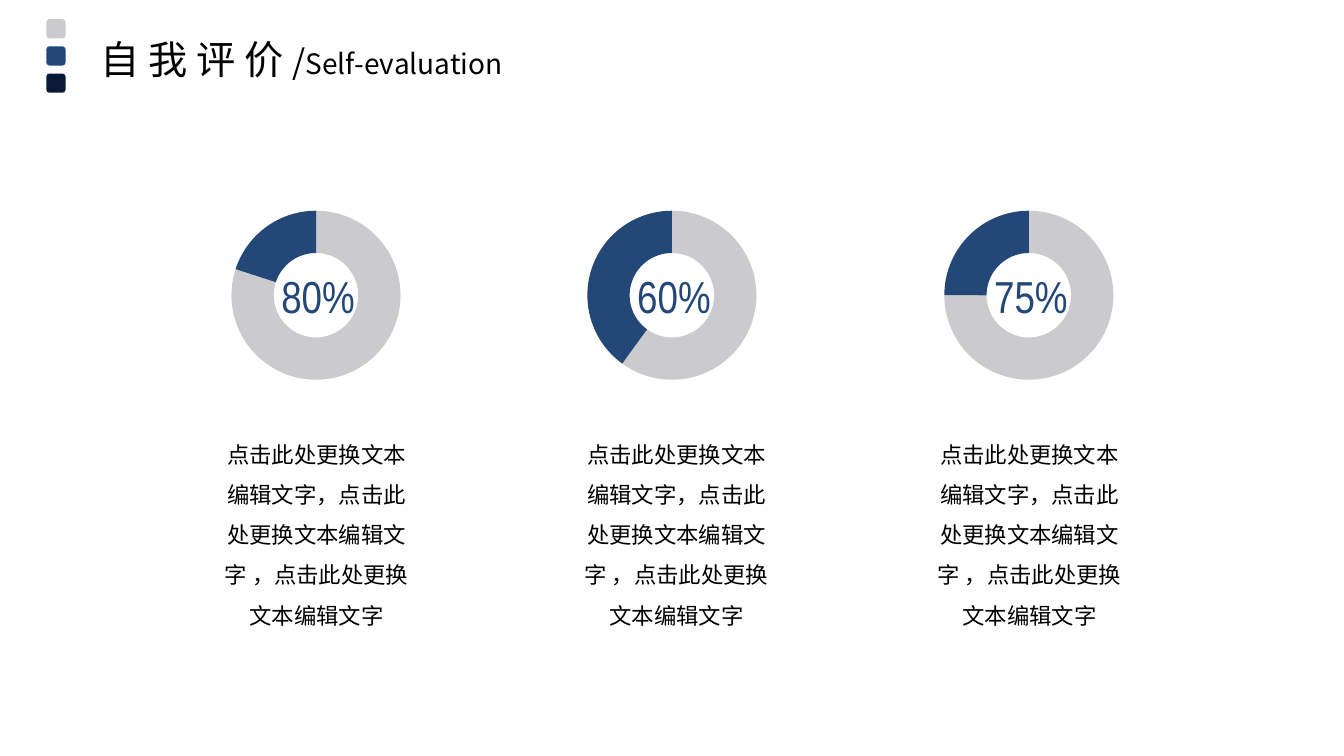
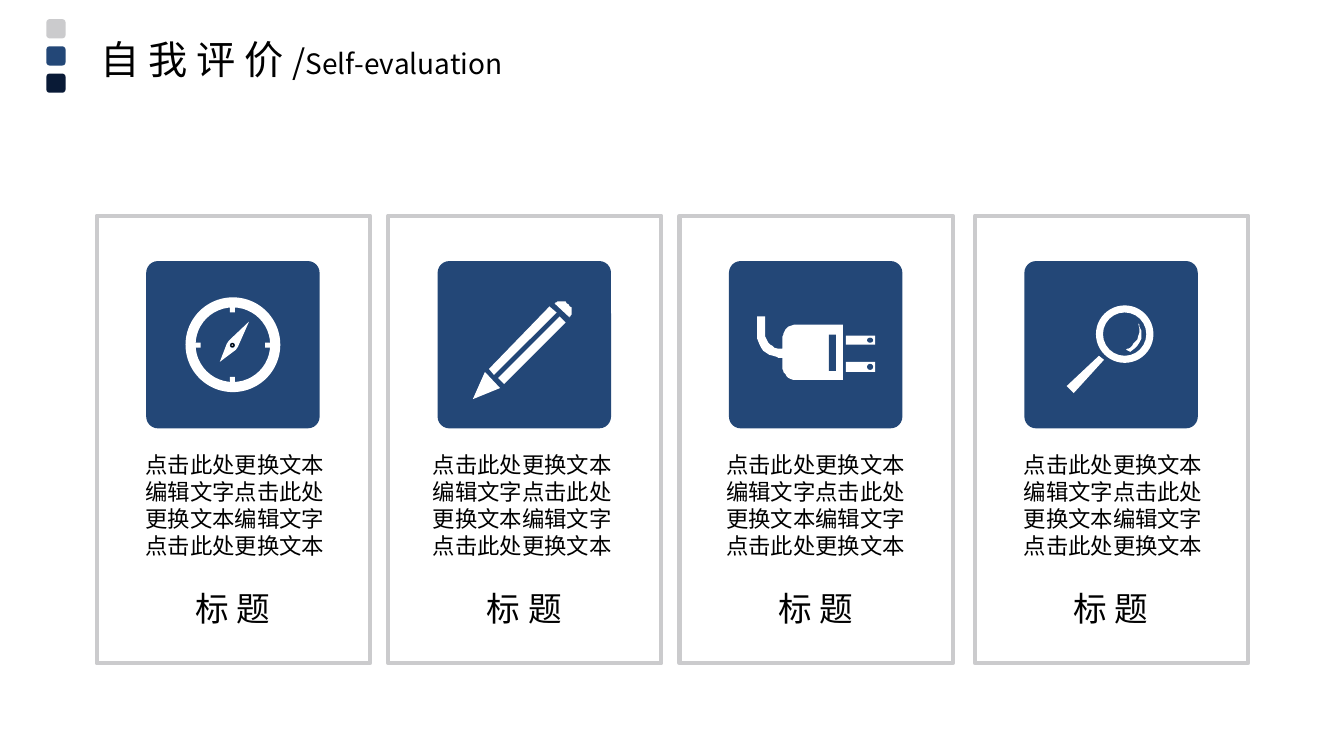
from dataclasses import dataclass

from pptx import Presentation
from pptx.chart.data import CategoryChartData
from pptx.dml.color import RGBColor
from pptx.enum.chart import XL_CHART_TYPE
from pptx.enum.shapes import MSO_SHAPE
from pptx.enum.text import MSO_ANCHOR, MSO_AUTO_SIZE, PP_ALIGN
from pptx.oxml import parse_xml
from pptx.oxml.ns import nsdecls, qn
from pptx.util import Inches, Pt


@dataclass(frozen=True)
class Theme:
    navy: str = "091A36"
    blue: str = "234777"
    grey: str = "CBCBCD"
    pivot: str = "ADB9CA"
    white: str = "FFFFFF"
    black: str = "000000"
    font: str = "Noto Sans CJK SC"
    number_font: str = "Arial Narrow"
    title_size: int = 28
    slash_size: int = 24
    subtitle_size: int = 20
    number_size: int = 32
    label_size: int = 24
    chart_size: int = 18
    body_size: int = 16


THEME = Theme()

TITLE_RUNS = [
    ("自 我 评 价 ", THEME.title_size),
    ("/", THEME.slash_size),
    ("Self-evaluation", THEME.subtitle_size),
]

SCORE_TEXT = "点击此处更换文本编辑文字，点击此处更换文本编辑文字 ，点击此处更换文本编辑文字"
# percentage, chart left, description left
SCORES = [(80, 1.97, 2.13), (60, 5.5, 5.7), (75, 9.04, 9.2)]

CARD_TEXT = "点击此处更换文本编辑文字点击此处更换文本编辑文字 点击此处更换文本"
CARD_LABEL = "标 题"

# Icon parts are in hundredths of an inch from the corner of the tile.
# Preset: (shape, (left, top, width, height), fill).
# Outline: (None, steps, fill), where two numbers are a corner and six a cubic curve.
RECT, OVAL, RING = MSO_SHAPE.RECTANGLE, MSO_SHAPE.OVAL, MSO_SHAPE.DONUT
WHITE, BLUE = THEME.white, THEME.blue
COMPASS = [
    (RING, (39, 36, 94, 94), WHITE),
    (RECT, (83, 44, 5, 7), WHITE),
    (RECT, (83, 115, 5, 7), WHITE),
    (RECT, (47, 81, 7, 5), WHITE),
    (RECT, (118, 81, 7, 5), WHITE),
    (None, [(80, 82), (73, 100), (89, 88), (91, 85), (102, 60), (82, 79)], WHITE),
    (OVAL, (83, 81, 5, 5), BLUE),
    (OVAL, (84, 82, 3, 3), THEME.pivot),
]
PENCIL = [
    (None, [(47, 110), (35, 137), (62, 126)], WHITE),
    (None, [(111, 45), (51, 107), (56, 113), (118, 51)], WHITE),
    (None, [(121, 55), (60, 116), (66, 122), (127, 61)], WHITE),
    (None, [(130, 43), (123, 36, 116, 42, 116, 42), (131, 56),
            (131, 56, 137, 49, 130, 43)], WHITE),
]
PLUG = [
    (None, [(53, 77), (53, 87), (35, 87, 36, 71, 36, 71), (36, 55), (28, 55),
            (28, 71), (28, 97, 53, 96, 53, 96), (53, 103),
            (53, 103, 52, 118, 68, 118), (113, 118), (113, 63), (68, 63),
            (53, 63, 53, 77, 53, 77)], WHITE),
    (RECT, (99, 73, 7, 36), BLUE),
    (RECT, (116, 74, 29, 9), WHITE),
    (OVAL, (137, 76, 6, 5), BLUE),
    (RECT, (116, 100, 29, 10), WHITE),
    (OVAL, (137, 102, 6, 6), BLUE),
]
MAGNIFIER = [
    (RING, (71, 44, 57, 57), WHITE),
    (None, [(42, 124), (49, 131), (79, 98), (74, 94)], WHITE),
    (None, [(113, 62), (117, 82, 101, 88, 101, 88), (105, 90),
            (124, 78, 113, 62, 113, 62)], WHITE),
]
# icon, card left, text left
CARDS = [(COMPASS, 0.96, 1.27), (PENCIL, 3.85, 4.12),
         (PLUG, 6.74, 7.03), (MAGNIFIER, 9.67, 9.98)]
CARD_TOP, CARD_WIDTH, CARD_HEIGHT = 2.14, 2.71, 4.44
TILE_TOP, TILE_WIDTH, TILE_HEIGHT = 2.59, 1.72, 1.66
RING_THICKNESS = 10
LENS_THICKNESS = 7


def rgb(value):
    return RGBColor.from_string(value)


def place(part, left, top, width, height):
    part.left, part.top = Inches(left), Inches(top)
    part.width, part.height = Inches(width), Inches(height)


def add_run(paragraph, text, size, color=THEME.black, font=THEME.font):
    run = paragraph.add_run()
    run.text = text
    run.font.size = Pt(size)
    run.font.name = font
    run.font.color.rgb = rgb(color)
    east_asian = run.font._element.makeelement(qn("a:ea"), {"typeface": font})
    run.font._element.find(qn("a:latin")).addnext(east_asian)


def add_text(slide, box, text, size, color=THEME.black, font=THEME.font,
             spacing=None, anchor=MSO_ANCHOR.TOP):
    frame = slide.shapes.add_textbox(*map(Inches, box)).text_frame
    frame.word_wrap = True
    frame.vertical_anchor = anchor
    paragraph = frame.paragraphs[0]
    paragraph.alignment = PP_ALIGN.CENTER
    if spacing:
        paragraph.line_spacing = spacing
    add_run(paragraph, text, size, color, font)


def paint(shape, fill=None, line=None, width=0.75):
    shape.shadow.inherit = False
    if fill:
        shape.fill.solid()
        shape.fill.fore_color.rgb = rgb(fill)
    else:
        shape.fill.background()
    if line:
        shape.line.color.rgb = rgb(line)
        shape.line.width = Pt(width)
    else:
        shape.line.fill.background()
    return shape


def add_preset(shapes, kind, box, **style):
    return paint(shapes.add_shape(kind, *map(Inches, box)), **style)


def add_titled_slide(prs):
    slide = prs.slides.add_slide(prs.slide_layouts[5])
    title = slide.shapes.title
    place(title, 0.9, 0.3, 5.01, 0.57)
    frame = title.text_frame
    frame.word_wrap = True
    frame.auto_size = MSO_AUTO_SIZE.NONE
    frame.vertical_anchor = MSO_ANCHOR.TOP
    frame.paragraphs[0].alignment = PP_ALIGN.LEFT
    for text, size in TITLE_RUNS:
        add_run(frame.paragraphs[0], text, size)
    marks = slide.shapes.add_group_shape().shapes
    for row, color in enumerate((THEME.grey, THEME.blue, THEME.navy)):
        add_preset(marks, MSO_SHAPE.ROUNDED_RECTANGLE,
                   (0.46, 0.19 + 0.27 * row, 0.19, 0.19), fill=color)
    return slide


def add_score_ring(slide, percent, left):
    data = CategoryChartData()
    data.categories = ["1", "2"]
    data.add_series("Series 1", (percent, 100 - percent))
    box = map(Inches, (left, 1.95, 2.33, 1.96))
    chart = slide.shapes.add_chart(XL_CHART_TYPE.DOUGHNUT, *box, data).chart
    chart.has_legend = False
    chart.has_title = False
    chart.font.name = THEME.font
    chart.font.size = Pt(THEME.chart_size)
    chart.font.color.rgb = rgb(THEME.black)
    plot = chart.plots[0]
    plot.vary_by_categories = True
    for index, color in enumerate((THEME.grey, THEME.blue)):
        point_format = plot.series[0].points[index].format
        point_format.fill.solid()
        point_format.fill.fore_color.rgb = rgb(color)
        point_format.line.fill.background()
    plot_area = chart.element.find(".//" + qn("c:plotArea"))
    plot_area.find(".//" + qn("c:holeSize")).set("val", "83")
    for layout in plot_area.findall(qn("c:layout")):
        plot_area.remove(layout)
    plot_area.insert(0, parse_xml(
        f'<c:layout {nsdecls("c")}><c:manualLayout><c:layoutTarget val="inner"/>'
        '<c:xMode val="edge"/><c:yMode val="edge"/><c:x val="0.14"/><c:y val="0.07"/>'
        '<c:w val="0.72"/><c:h val="0.86"/></c:manualLayout></c:layout>'))


def flatten(steps, pieces=12):
    """Turn corners and cubic curves into a list of points."""
    points = []
    for step in steps:
        if len(step) == 2:
            points.append(step)
            continue
        controls = [points[-1], step[:2], step[2:4], step[4:]]
        for piece in range(1, pieces + 1):
            t = piece / pieces
            weights = ((1 - t) ** 3, 3 * t * (1 - t) ** 2, 3 * t * t * (1 - t), t ** 3)
            points.append(tuple(sum(w * c[axis] for w, c in zip(weights, controls))
                                for axis in (0, 1)))
    return points


def add_icon(slide, icon, left, top):
    shapes = slide.shapes.add_group_shape().shapes
    for kind, geometry, fill in icon:
        if kind is None:
            start, *rest = flatten(geometry)
            builder = shapes.build_freeform(*start, scale=Inches(0.01))
            builder.add_line_segments(rest, close=True)
            paint(builder.convert_to_shape(Inches(left), Inches(top)), fill=fill)
            continue
        x, y, width, height = (value / 100 for value in geometry)
        outline = THEME.black if fill == THEME.pivot else None
        part = add_preset(shapes, kind, (left + x, top + y, width, height),
                          fill=fill, line=outline)
        if kind == RING:
            thickness = LENS_THICKNESS if icon is MAGNIFIER else RING_THICKNESS
            part.adjustments[0] = thickness / geometry[2]


def build_scores(prs):
    slide = add_titled_slide(prs)
    for percent, chart_left, text_left in SCORES:
        add_score_ring(slide, percent, chart_left)
        add_text(slide, (chart_left + 0.58, 2.62, 1.21, 0.64), f"{percent}%",
                 THEME.number_size, THEME.blue, THEME.number_font)
        add_text(slide, (text_left, 4.19, 2.02, 2.12), SCORE_TEXT,
                 THEME.body_size, spacing=1.5)


def build_cards(prs):
    slide = add_titled_slide(prs)
    for icon, left, text_left in CARDS:
        add_preset(slide.shapes, RECT, (left, CARD_TOP, CARD_WIDTH, CARD_HEIGHT),
                   line=THEME.grey, width=3)
        tile_left = left + 0.49
        tile = add_preset(slide.shapes, MSO_SHAPE.ROUNDED_RECTANGLE,
                          (tile_left, TILE_TOP, TILE_WIDTH, TILE_HEIGHT), fill=BLUE)
        tile.adjustments[0] = 0.07
        add_icon(slide, icon, tile_left, TILE_TOP)
        add_text(slide, (text_left, 4.43, 2.12, 1.18), CARD_TEXT, THEME.body_size)
        add_text(slide, (tile_left, 5.76, TILE_WIDTH, 0.54), CARD_LABEL,
                 THEME.label_size, anchor=MSO_ANCHOR.MIDDLE)


def main():
    prs = Presentation()
    prs.slide_width, prs.slide_height = Inches(13.33), Inches(7.5)
    build_scores(prs)
    build_cards(prs)
    prs.save("out.pptx")


if __name__ == "__main__":
    main()
